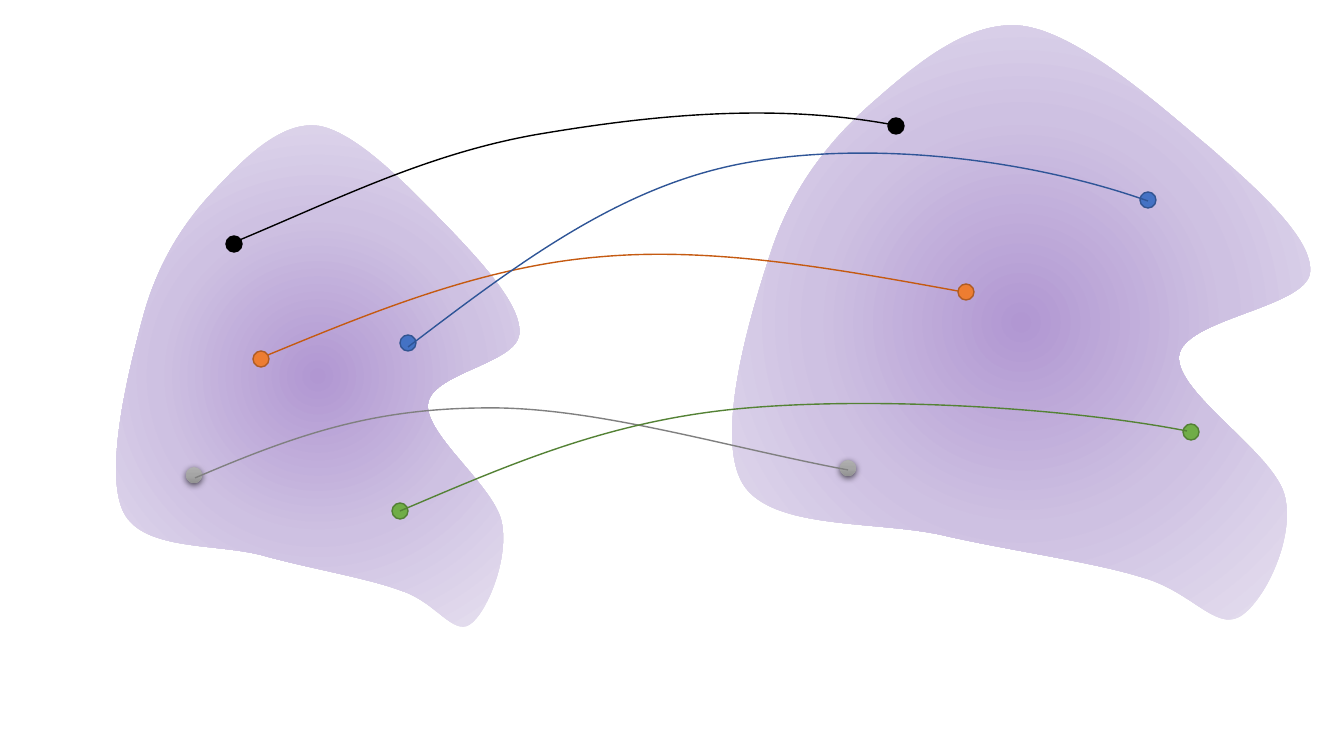
import lxml.etree
import pptx
import pptx.dml.color
import pptx.enum.shapes
import pptx.oxml.ns
import pptx.util

COLORS = {
    "region": ("B197D2", "CEC1E2", "E7E1F0"),
    "grey_dot": ("AFAFAF", "A5A5A5", "939393"),
    "shadow": "000000",
}
# name: (dot fill, dot outline, curve)
PAIR_COLORS = {
    "black": ("000000", "000000", "000000"),
    "blue": ("4472C4", "325491", "2F5597"),
    "orange": ("ED7D31", "AF5C24", "C55A11"),
    "green": ("70AD47", "538035", "548235"),
    "grey": (None, None, "808080"),
}
# name: (centre of left dot, centre of right dot)
DOTS = {
    "black": ((234, 244), (896, 126)),
    "blue": ((408, 343), (1148, 200)),
    "orange": ((261, 359), (966, 292)),
    "green": ((400, 511), (1191, 432)),
    "grey": ((194, 475), (848, 468)),
}
# Start point, then two control points and an end point per segment
CURVES = {
    "orange": [(263, 357), (372, 312), (481, 267), (598, 257),
               (716, 246), (842, 270), (969, 293)],
    "blue": [(408, 347), (516, 265), (617, 188), (740, 164),
             (863, 140), (1023, 157), (1148, 201)],
    "black": [(230, 244), (336, 200), (424, 155), (534, 135),
              (645, 116), (771, 102), (894, 125)],
    "grey": [(195, 478), (300, 433), (374, 409), (483, 408),
             (593, 406), (725, 447), (848, 470)],
    "green": [(400, 511), (506, 466), (605, 422), (736, 409),
              (868, 396), (1064, 407), (1187, 431)],
}
REGION_SIZE = (579, 594)
REGION_OUTLINE = [
    (139, 78),
    (97, 115), (60, 162), (39, 226),
    (18, 290), (-18, 410), (11, 458),
    (40, 505), (148, 494), (214, 510),
    (280, 525), (361, 536), (409, 551),
    (458, 564), (483, 604), (507, 591),
    (531, 578), (563, 514), (553, 471),
    (544, 428), (443, 367), (447, 330),
    (451, 293), (573, 282), (578, 247),
    (582, 213), (524, 162), (477, 121),
    (428, 80), (348, 8), (291, 0),
    (236, -7), (181, 41), (139, 78),
]
REGION_FRAMES = [(732, 26, 579, 594), (116, 126, 404, 501)]


def bezier_point(corners, t):
    weights = ((1 - t) ** 3, 3 * t * (1 - t) ** 2, 3 * t * t * (1 - t), t ** 3)
    return tuple(sum(weight * corner[axis] for weight, corner in zip(weights, corners))
                 for axis in (0, 1))


def add_element(parent, tag, **attributes):
    element = lxml.etree.SubElement(parent, pptx.oxml.ns.qn(tag))
    for name, value in attributes.items():
        element.set(name, str(value))
    return element


class MappingSlide:
    EMU_PER_PX = 914400 / 100.8
    DOT_SIZE = 16
    SAMPLES = 40
    LINE_FORMAT = {"width": pptx.util.Pt(1)}

    def __init__(self, presentation):
        self.slide = presentation.slides.add_slide(presentation.slide_layouts[6])

    @classmethod
    def emu(cls, px):
        return pptx.util.Emu(round(px * cls.EMU_PER_PX))

    def set_line(self, shape, color):
        shape.line.color.rgb = pptx.dml.color.RGBColor.from_string(color)
        for name, value in self.LINE_FORMAT.items():
            setattr(shape.line, name, value)

    def set_gradient(self, shape, colors, radial):
        shape.fill.gradient()
        gradient = shape._element.spPr.find(pptx.oxml.ns.qn("a:gradFill"))
        for child in list(gradient):
            gradient.remove(child)
        stops = add_element(gradient, "a:gsLst")
        for index, color in enumerate(colors):
            stop = add_element(stops, "a:gs", pos=index * 50000)
            add_element(stop, "a:srgbClr", val=color)
        if radial:
            center = add_element(gradient, "a:path", path="circle")
            add_element(center, "a:fillToRect", l=50000, t=50000, r=50000, b=50000)
        else:
            add_element(gradient, "a:lin", ang=5400000, scaled=0)

    def bezier(self, points, close=False):
        """Freeform bounded by its sampled curve, drawn with cubic segments."""
        points = [(self.emu(x), self.emu(y)) for x, y in points]
        segments = [points[i:i + 4] for i in range(0, len(points) - 1, 3)]
        samples = [bezier_point(segment, step / self.SAMPLES)
                   for segment in segments for step in range(1, self.SAMPLES + 1)]
        builder = self.slide.shapes.build_freeform(*points[0])
        builder.add_line_segments(samples, close=close)
        shape = builder.convert_to_shape()
        shape.shadow.inherit = False
        outline = next(shape._element.spPr.iter(pptx.oxml.ns.qn("a:path")))
        for line in outline.findall(pptx.oxml.ns.qn("a:lnTo")):
            outline.remove(line)
        for position, segment in enumerate(segments, start=1):
            cubic = add_element(outline, "a:cubicBezTo")
            for x, y in segment[1:]:
                add_element(cubic, "a:pt", x=x - shape.left, y=y - shape.top)
            outline.insert(position, cubic)
        return shape

    def region(self, left, top, width, height):
        scale_x, scale_y = width / REGION_SIZE[0], height / REGION_SIZE[1]
        shape = self.bezier([(left + x * scale_x, top + y * scale_y)
                             for x, y in REGION_OUTLINE], close=True)
        self.set_gradient(shape, COLORS["region"], radial=True)
        shape.line.fill.background()

    def curve(self, name):
        shape = self.bezier(CURVES[name])
        shape.fill.background()
        self.set_line(shape, PAIR_COLORS[name][2])

    def dot(self, name, center):
        left, top = (self.emu(value - self.DOT_SIZE / 2) for value in center)
        size = self.emu(self.DOT_SIZE)
        shape = self.slide.shapes.add_shape(
            pptx.enum.shapes.MSO_SHAPE.OVAL, left, top, size, size)
        shape.shadow.inherit = False
        fill, outline, _ = PAIR_COLORS[name]
        if fill:
            shape.fill.solid()
            shape.fill.fore_color.rgb = pptx.dml.color.RGBColor.from_string(fill)
            self.set_line(shape, outline)
        else:
            self.set_gradient(shape, COLORS["grey_dot"], radial=False)
            shape.line.fill.background()
            self.drop_shadow(shape)

    def drop_shadow(self, shape):
        effects = shape._element.spPr.find(pptx.oxml.ns.qn("a:effectLst"))
        shadow = add_element(effects, "a:outerShdw", blurRad=pptx.util.Pt(4.5),
                             dist=pptx.util.Pt(1.5), dir=5400000,
                             algn="ctr", rotWithShape=0)
        color = add_element(shadow, "a:srgbClr", val=COLORS["shadow"])
        add_element(color, "a:alpha", val=63000)


def main():
    presentation = pptx.Presentation()
    presentation.slide_width = MappingSlide.emu(1344)
    presentation.slide_height = MappingSlide.emu(756)
    mapping = MappingSlide(presentation)
    for frame in REGION_FRAMES:
        mapping.region(*frame)
    mapping.curve("orange")
    for side in (0, 1):
        for name, centers in DOTS.items():
            mapping.dot(name, centers[side])
    for name in ("blue", "black", "grey", "green"):
        mapping.curve(name)
    presentation.save("out.pptx")


if __name__ == "__main__":
    main()
